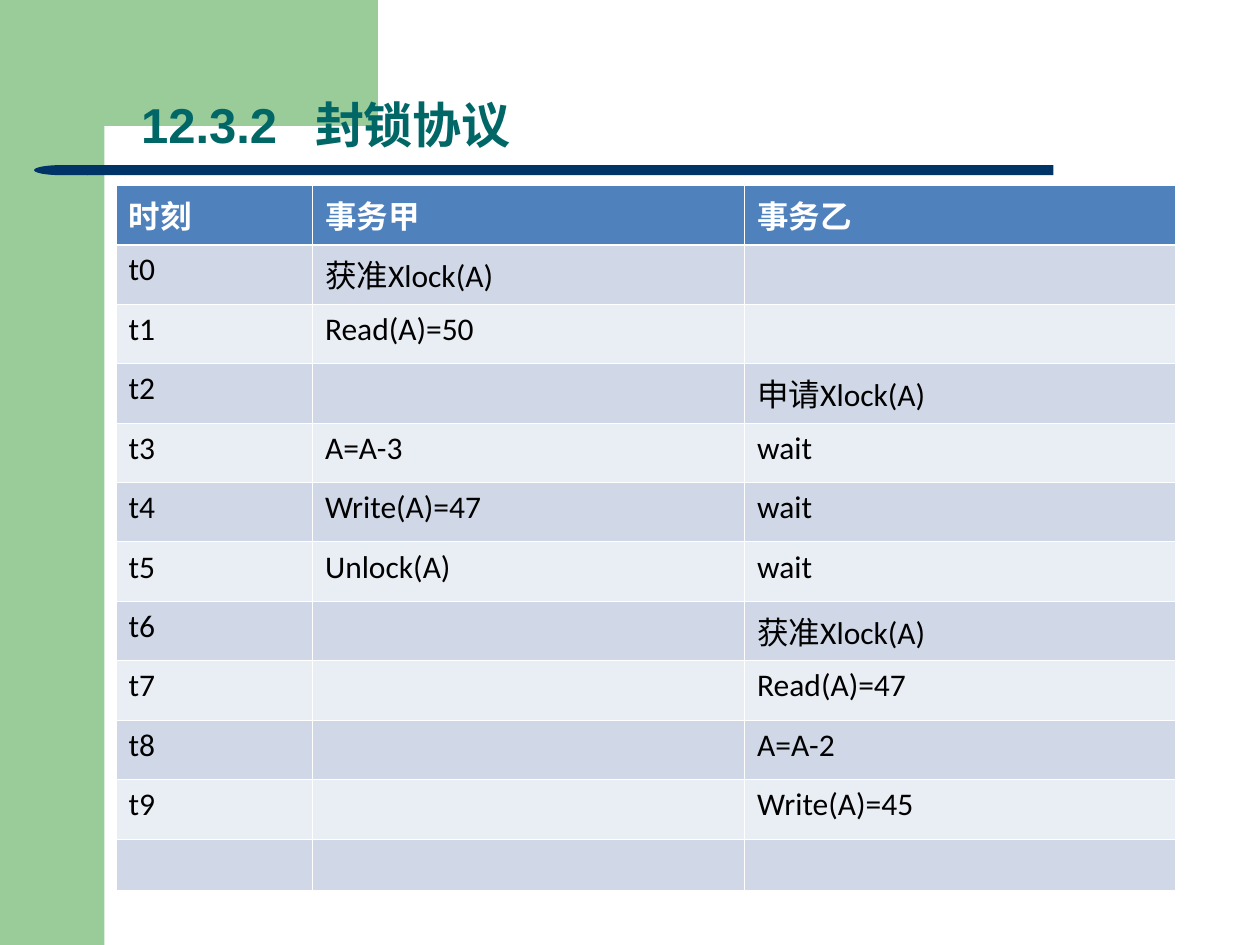
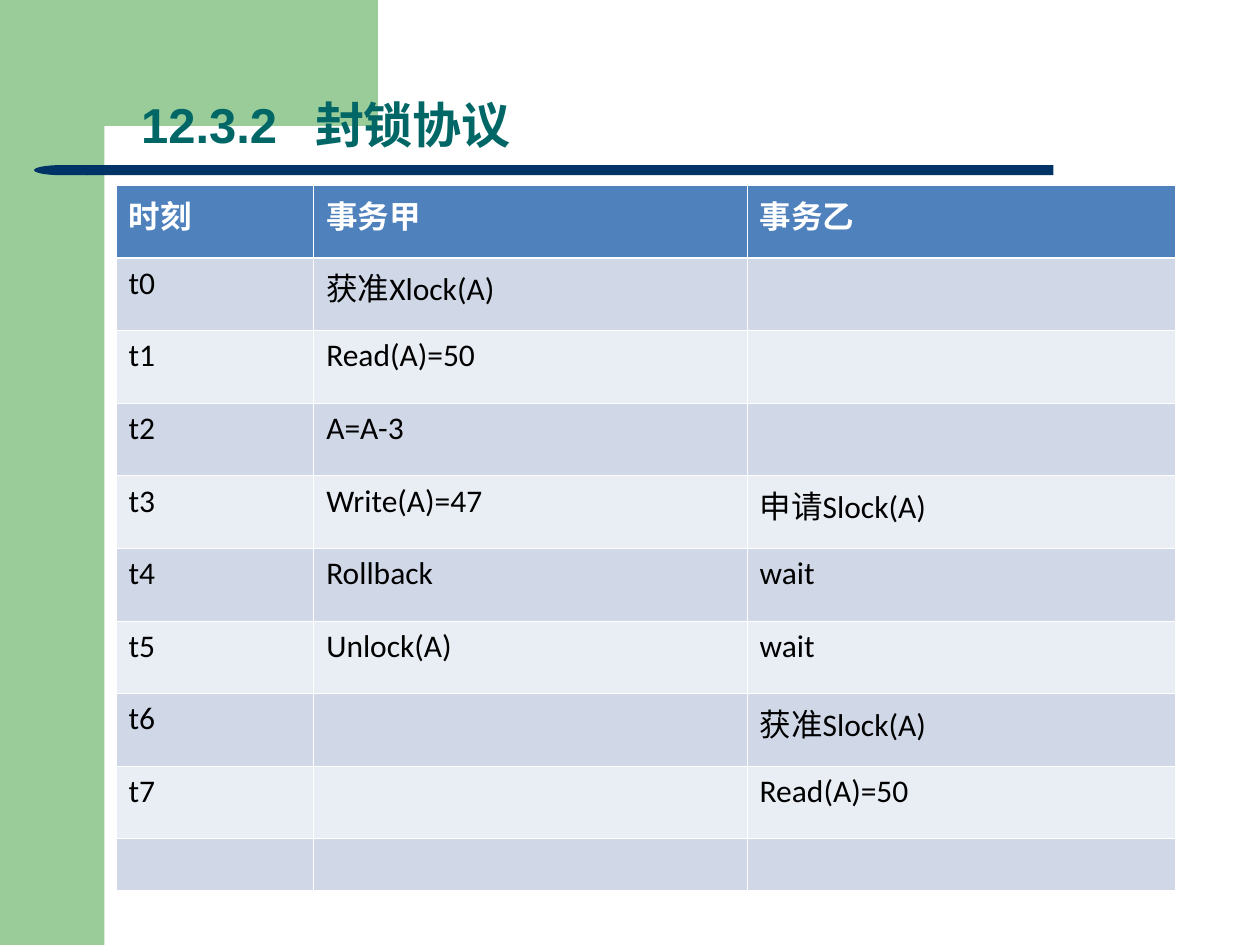
"""Build two slides on the locking protocol, each a schedule of two transactions."""
import math

import pptx
import pptx.dml.color
import pptx.enum.shapes
import pptx.enum.text
import pptx.oxml
import pptx.oxml.ns
import pptx.util
from pptx.util import Inches

TITLE = "12.3.2\t封锁协议"
HEADER = ("时刻", "事务甲", "事务乙")
SCHEDULES = [
    {
        "widths": (1.56, 3.43, 3.42),
        "steps": [
            ("获准Xlock(A)", ""),
            ("Read(A)=50", ""),
            ("", "申请Xlock(A)"),
            ("A=A-3", "wait"),
            ("Write(A)=47", "wait"),
            ("Unlock(A)", "wait"),
            ("", "获准Xlock(A)"),
            ("", "Read(A)=47"),
            ("", "A=A-2"),
            ("", "Write(A)=45"),
        ],
    },
    {
        "widths": (1.57, 3.44, 3.4),
        "steps": [
            ("获准Xlock(A)", ""),
            ("Read(A)=50", ""),
            ("A=A-3", ""),
            ("Write(A)=47", "申请Slock(A)"),
            ("Rollback", "wait"),
            ("Unlock(A)", "wait"),
            ("", "获准Slock(A)"),
            ("", "Read(A)=50"),
        ],
    },
]

GREEN, NAVY, TEAL = "99CC99", "003366", "006666"
WHITE, BLACK, HEAD_FILL = "FFFFFF", "000000", "4F81BD"
BANDS = ("E9EDF4", "D0D8E8")
TABLE_BOX = (0.92, 1.47, 8.41, 5.59)
LAST_ROW = 0.4
THIN, THICK = 0.45, 1.47


def rgb(value):
    return pptx.dml.color.RGBColor.from_string(value)


def paint(sp, color):
    sp.shadow.inherit = False
    sp.fill.solid()
    sp.fill.fore_color.rgb = rgb(color)
    sp.line.fill.background()


def corner_points(right=1.11, top=0.6, rx=0.3, ry=0.23, steps=12):
    angles = [math.pi / 2 * i / steps for i in range(steps + 1)]
    return [(right - rx * math.sin(a), top + ry - ry * math.cos(a)) for a in angles]


def decorate_layout(layout, s):
    kinds = pptx.enum.shapes.MSO_SHAPE
    side_band = s.shapes.add_shape(kinds.RECTANGLE, 0, 0, Inches(0.83), Inches(7.5))
    outline = [(3.27, 0.6), *corner_points(), (0.81, 0.91), (0.5, 0.91), (0.5, 0)]
    builder = s.shapes.build_freeform(3.27, 0, scale=Inches(1))
    builder.add_line_segments(outline, close=True)
    top_band = builder.convert_to_shape()
    rule = s.shapes.add_shape(
        kinds.RECTANGLE, Inches(0.69), Inches(1.31), Inches(7.67), Inches(0.08))
    rule_tip = s.shapes.add_shape(
        kinds.FLOWCHART_DELAY, Inches(0.27), Inches(1.31), Inches(0.43), Inches(0.08))
    rule_tip.rotation = 180
    parts = ((side_band, GREEN), (top_band, GREEN), (rule, NAVY), (rule_tip, NAVY))
    for i, (sp, color) in enumerate(parts):
        paint(sp, color)
        sp.element.nvSpPr.cNvPr.set("id", str(20 + i))
        layout.shapes.element.insert(2 + i, sp.element)


def set_title(s):
    title = s.shapes.title
    title.left, title.top = Inches(1.02), Inches(0.72)
    title.width, title.height = Inches(8.19), Inches(0.55)
    tf = title.text_frame
    tf.text = TITLE
    tf.auto_size = pptx.enum.text.MSO_AUTO_SIZE.NONE
    tf.vertical_anchor = pptx.enum.text.MSO_ANCHOR.BOTTOM
    p = tf.paragraphs[0]
    p.alignment = pptx.enum.text.PP_ALIGN.LEFT
    p.line_spacing = 0.9
    p._p.get_or_add_pPr().append(pptx.oxml.parse_xml(
        f'<a:tabLst {pptx.oxml.ns.nsdecls("a")}>'
        f'<a:tab pos="{Inches(1.38)}" algn="l"/></a:tabLst>'))
    style_font(p.runs[0].font, "Arial", 28, TEAL, True)


def style_font(font, name, size, color, bold):
    font.name, font.size, font.bold = name, pptx.util.Pt(size), bold
    font.color.rgb = rgb(color)


def set_borders(cell, top, bottom):
    tcPr = cell._tc.get_or_add_tcPr()
    for side, width in (("L", THIN), ("R", THIN), ("T", top), ("B", bottom)):
        tcPr.append(pptx.oxml.parse_xml(
            f'<a:ln{side} {pptx.oxml.ns.nsdecls("a")} w="{pptx.util.Pt(width)}">'
            f'<a:solidFill><a:srgbClr val="{WHITE}"/></a:solidFill></a:ln{side}>'))


def add_schedule(s, widths, steps):
    rows = [HEADER, *((f"t{i}", *step) for i, step in enumerate(steps)), ("", "", "")]
    box = [Inches(v) for v in TABLE_BOX]
    table = s.shapes.add_table(len(rows), len(HEADER), *box).table
    for column, width in zip(table.columns, widths):
        column.width = Inches(width)
    row_height = Inches((TABLE_BOX[3] - LAST_ROW) / (len(rows) - 1))
    for i, texts in enumerate(rows):
        head = i == 0
        table.rows[i].height = Inches(LAST_ROW) if i == len(rows) - 1 else row_height
        for j, text in enumerate(texts):
            cell = table.cell(i, j)
            set_borders(cell, THICK if i == 1 else THIN, THICK if head else THIN)
            cell.fill.solid()
            cell.fill.fore_color.rgb = rgb(HEAD_FILL if head else BANDS[i % 2])
            cell.text_frame.text = text
            for r in cell.text_frame.paragraphs[0].runs:
                style_font(r.font, "Calibri", 18, WHITE if head else BLACK, head)


def main():
    prs = pptx.Presentation()
    prs.slide_width, prs.slide_height = Inches(10), Inches(7.5)
    layout = prs.slide_layouts[5]
    slides = [prs.slides.add_slide(layout) for _ in SCHEDULES]
    decorate_layout(layout, slides[0])
    for s, schedule in zip(slides, SCHEDULES):
        set_title(s)
        add_schedule(s, **schedule)
    prs.save("out.pptx")


if __name__ == "__main__":
    main()
